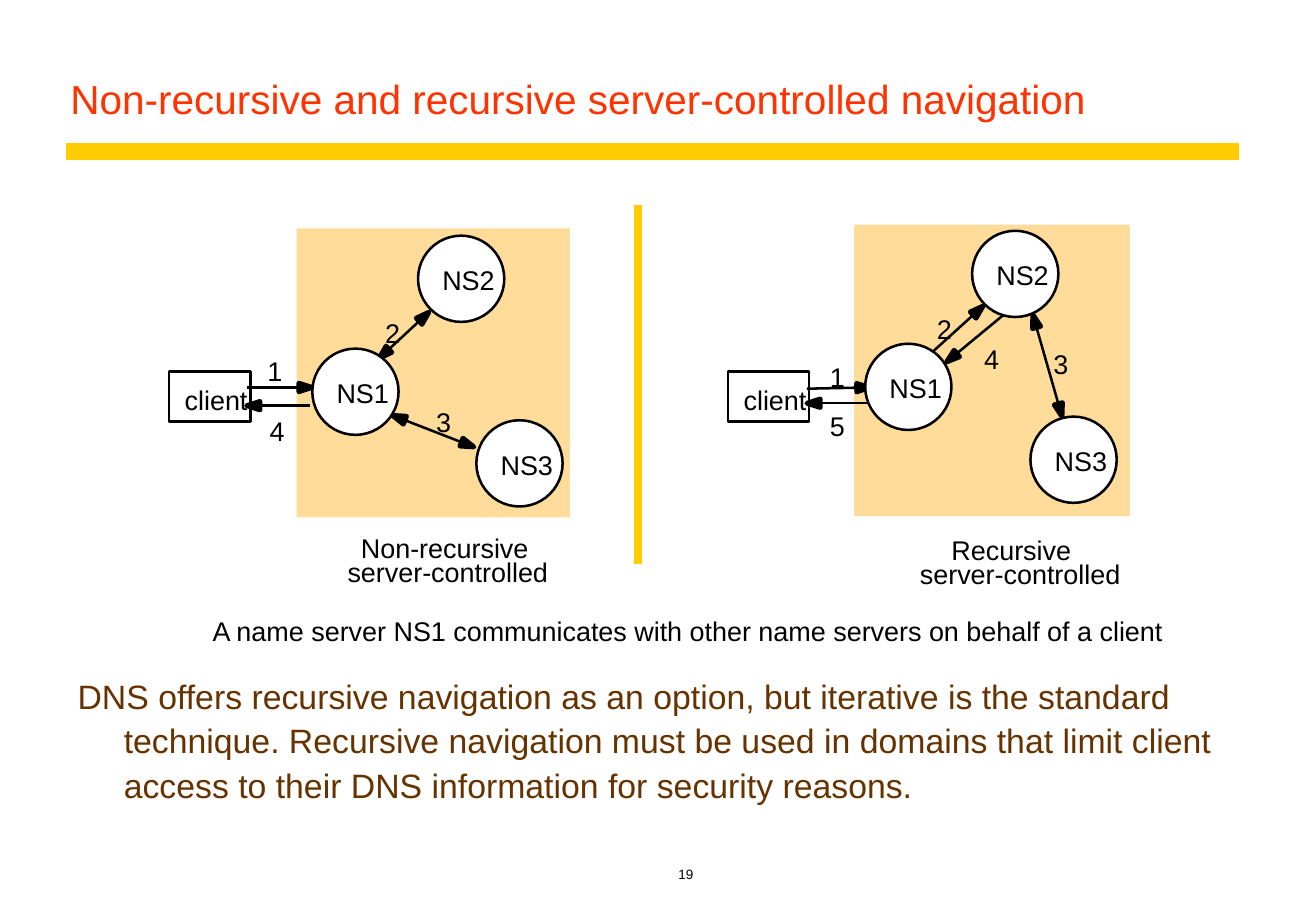
from dataclasses import dataclass
from math import hypot

from lxml import etree
from pptx import Presentation
from pptx import util as u
from pptx.dml.color import RGBColor
from pptx.enum import shapes, text
from pptx.oxml.ns import qn

PX = 9144
BLACK, WHITE, GOLD, SAND = "000000", "FFFFFF", "FFCC00", "FFDC99"
RED, BROWN = "FF3300", "663300"
NODE_SIZE = 71
HEAD_LENGTH, HEAD_HALF_WIDTH = 11, 3.5

Point = tuple[float, float]


@dataclass
class Label:
    words: str
    left: int
    top: int
    width: int = 13


@dataclass
class Node:
    name: str
    left: int
    top: int


@dataclass
class Arrow:
    start: Point
    end: Point
    two_way: bool = False


@dataclass
class Diagram:
    domain: tuple[int, int, int, int]
    client: tuple[int, int]
    nodes: list[Node]
    arrows: list[Arrow]
    labels: list[Label]


DIAGRAMS = [
    Diagram(
        domain=(703, 185, 227, 240),
        client=(599, 306),
        nodes=[Node("NS2", 800, 190), Node("NS1", 712, 283), Node("NS3", 848, 343)],
        arrows=[
            Arrow((664, 320), (716, 319)),
            Arrow((766, 291), (809, 252)),
            Arrow((850, 259), (874, 343), two_way=True),
            Arrow((716, 332), (664, 332)),
            Arrow((831, 255), (779, 298)),
        ],
        labels=[
            Label("1", 683, 297), Label("2", 771, 257), Label("3", 867, 286),
            Label("4", 810, 282), Label("5", 683, 337),
            Label("Recursive", 783, 439, 101),
            Label("server-controlled", 757, 459, 169),
        ],
    ),
    Diagram(
        domain=(244, 188, 225, 238),
        client=(139, 306),
        nodes=[Node("NS2", 344, 194), Node("NS1", 257, 287), Node("NS3", 392, 346)],
        arrows=[
            Arrow((203, 319), (257, 319)),
            Arrow((312, 295), (353, 257), two_way=True),
            Arrow((323, 342), (390, 368), two_way=True),
            Arrow((255, 334), (203, 334)),
        ],
        labels=[
            Label("1", 220, 292), Label("2", 317, 261),
            Label("3", 359, 334), Label("4", 222, 341),
            Label("Non-recursive", 297, 438, 141),
            Label("server-controlled", 286, 457, 169),
        ],
    ),
]


def px(length: float) -> int:
    return round(length * PX)


def rgb(colour: str) -> RGBColor:
    return RGBColor.from_string(colour)


def add_words(slide, words: str, left: int, top: int, width: int, height: int,
              size: int, colour: str = BLACK):
    box = slide.shapes.add_textbox(px(left), px(top), px(width), px(height))
    box.text_frame.word_wrap = True
    paragraph = box.text_frame.paragraphs[0]
    paragraph.text = words
    paragraph.font.name = "Arial"
    paragraph.font.size = u.Pt(size)
    paragraph.font.color.rgb = rgb(colour)
    return box.text_frame, paragraph


def add_label(slide, label: Label) -> None:
    frame, _ = add_words(slide, label.words, label.left, label.top, label.width, 27, 16)
    frame.word_wrap = False
    frame.auto_size = text.MSO_AUTO_SIZE.SHAPE_TO_FIT_TEXT
    frame.margin_left = frame.margin_right = frame.margin_top = frame.margin_bottom = 0


def add_line(slide, start: Point, end: Point, colour: str, weight: float) -> None:
    line = slide.shapes.add_connector(
        shapes.MSO_CONNECTOR.STRAIGHT, *map(px, (*start, *end)))
    line.line.color.rgb = rgb(colour)
    line.line.width = u.Pt(weight)
    etree.SubElement(line._element.spPr, qn("a:effectLst"))


def paint(shape, fill: str | None, outline: str | None, weight: float = 1.5) -> None:
    shape.shadow.inherit = False
    if fill:
        shape.fill.solid()
        shape.fill.fore_color.rgb = rgb(fill)
    else:
        shape.fill.background()
    if outline:
        shape.line.color.rgb = rgb(outline)
        shape.line.width = u.Pt(weight)
    else:
        shape.line.fill.background()


def add_block(slide, kind, left: int, top: int, width: int, height: int,
              fill: str | None, outline: str | None) -> None:
    block = slide.shapes.add_shape(kind, px(left), px(top), px(width), px(height))
    paint(block, fill, outline)


def add_head(slide, tip: Point, dx: float, dy: float) -> Point:
    base = (tip[0] - HEAD_LENGTH * dx, tip[1] - HEAD_LENGTH * dy)
    across = (-dy * HEAD_HALF_WIDTH, dx * HEAD_HALF_WIDTH)
    corners = [(base[0] + side * across[0], base[1] + side * across[1])
               for side in (1, -1)]
    builder = slide.shapes.build_freeform(px(tip[0]), px(tip[1]))
    builder.add_line_segments([(px(x), px(y)) for x, y in corners])
    paint(builder.convert_to_shape(), BLACK, BLACK, 2.88)
    return base


def add_arrow(slide, arrow: Arrow) -> None:
    start, end = arrow.start, arrow.end
    run, rise = end[0] - start[0], end[1] - start[1]
    length = hypot(run, rise)
    dx, dy = run / length, rise / length
    end = add_head(slide, end, dx, dy)
    if arrow.two_way:
        start = add_head(slide, start, -dx, -dy)
    add_line(slide, start, end, BLACK, 1.5)


def add_diagram(slide, diagram: Diagram) -> None:
    rectangle, oval = shapes.MSO_SHAPE.RECTANGLE, shapes.MSO_SHAPE.OVAL
    add_block(slide, rectangle, *diagram.domain, SAND, None)
    for arrow in diagram.arrows:
        add_arrow(slide, arrow)
    for label in diagram.labels:
        add_label(slide, label)
    left, top = diagram.client
    add_block(slide, rectangle, left, top, 67, 41, None, BLACK)
    add_label(slide, Label("client", left + 13, top + 10, 54))
    for node in diagram.nodes:
        add_block(slide, oval, node.left, node.top, NODE_SIZE, NODE_SIZE, WHITE, BLACK)
        add_label(slide, Label(node.name, node.left + 20, node.top + 23, 46))


def main() -> None:
    deck = Presentation()
    deck.slide_width, deck.slide_height = px(1083), px(750)
    slide = deck.slides.add_slide(deck.slide_layouts[6])

    add_line(slide, (54, 125), (1020, 125), GOLD, 10)
    footer, number = add_words(slide, "19", 235, 700, 659, 31, 8)
    footer.vertical_anchor = text.MSO_ANCHOR.BOTTOM
    number.alignment = text.PP_ALIGN.CENTER
    header, title = add_words(
        slide, "Non-recursive and recursive server-controlled navigation",
        48, 26, 972, 80, 24, RED)
    header.vertical_anchor = text.MSO_ANCHOR.BOTTOM
    title.line_spacing = 0.9

    add_label(slide, Label(
        "A name server NS1 communicates with other name servers on behalf of a client",
        175, 506, 790))
    for diagram in DIAGRAMS:
        add_diagram(slide, diagram)
    add_line(slide, (525, 169), (525, 464), GOLD, 4.5)

    _, remark = add_words(
        slide,
        "DNS offers recursive navigation as an option, but iterative is the standard "
        "technique. Recursive navigation must be used in domains that limit client "
        "access to their DNS information for security reasons.",
        54, 548, 969, 135, 20, BROWN)
    remark.line_spacing = 1.1
    remark.space_before = u.Pt(4)
    indents = remark._p.get_or_add_pPr()
    indents.set("marL", str(px(38)))
    indents.set("indent", str(px(-38)))

    deck.save("out.pptx")


if __name__ == "__main__":
    main()
